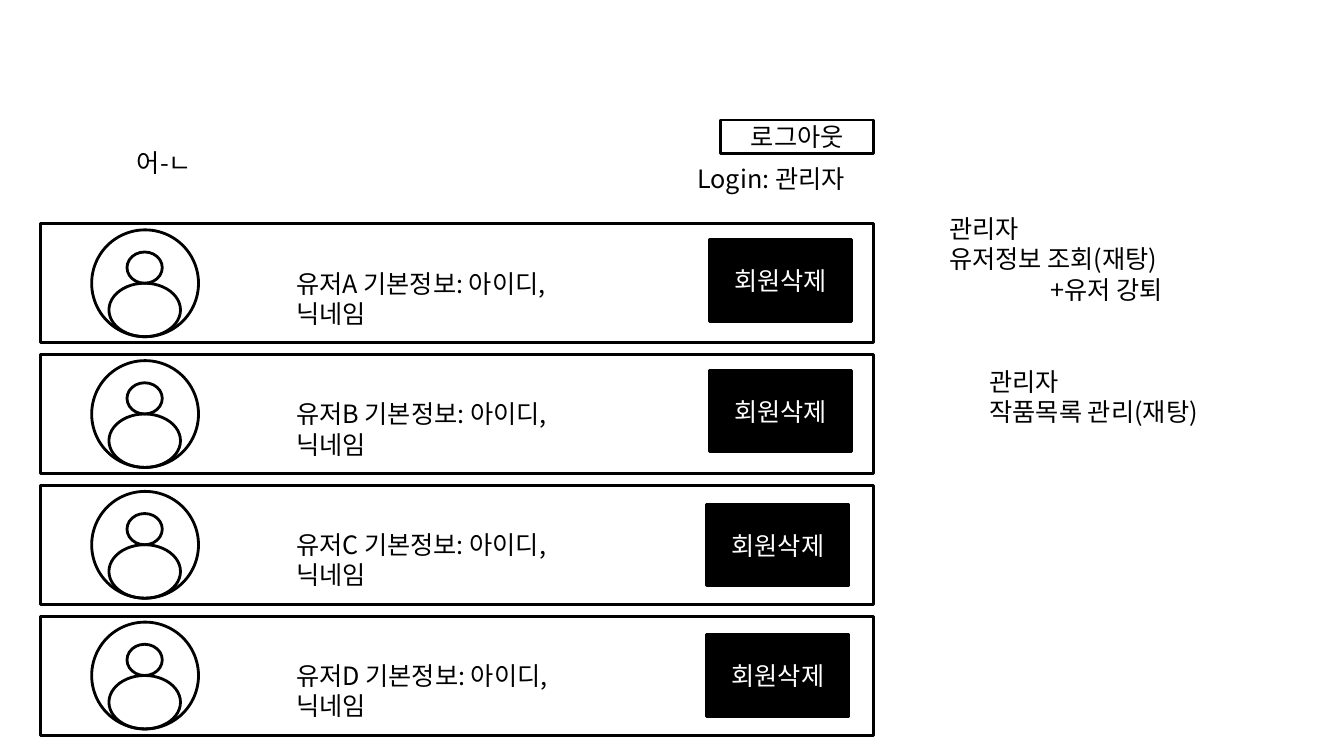
import pptx
import pptx.dml.color
import pptx.enum.shapes
import pptx.enum.text
import pptx.oxml.ns
import pptx.util
from dataclasses import dataclass

Pt = pptx.util.Pt
MSO_SHAPE = pptx.enum.shapes.MSO_SHAPE
ALIGN = pptx.enum.text.PP_ALIGN
qn = pptx.oxml.ns.qn


@dataclass(frozen=True)
class Theme:
    black: pptx.dml.color.RGBColor = pptx.dml.color.RGBColor(0, 0, 0)
    white: pptx.dml.color.RGBColor = pptx.dml.color.RGBColor(255, 255, 255)
    font: str = "Noto Sans CJK KR"
    size: int = 18
    line: int = 2


theme = Theme()


def write(frame, text, color=theme.black, align=ALIGN.LEFT):
    """Fill a text frame, setting the font for Latin and Korean letters alike."""
    frame.word_wrap = True
    frame.text = text
    for paragraph in frame.paragraphs:
        paragraph.alignment = align
        paragraph.font.size = Pt(theme.size)
        paragraph.font.name = theme.font
        paragraph.font.color.rgb = color
        defaults = paragraph._p.pPr.find(qn("a:defRPr"))
        korean = defaults.makeelement(qn("a:ea"), {"typeface": theme.font})
        defaults.find(qn("a:latin")).addnext(korean)


def add_outline(shapes, kind, left, top, width, height, fill=None):
    shape = shapes.add_shape(kind, Pt(left), Pt(top), Pt(width), Pt(height))
    shape.shadow.inherit = False
    if fill is None:
        shape.fill.background()
    else:
        shape.fill.solid()
        shape.fill.fore_color.rgb = fill
    shape.line.color.rgb = theme.black
    shape.line.width = Pt(theme.line)
    return shape


deck = pptx.Presentation()
deck.slide_width, deck.slide_height = Pt(960), Pt(540)
slide = deck.slides.add_slide(deck.slide_layouts[6])

# Header: site title, logout button, login state
header = slide.shapes.add_group_shape().shapes
site_title = header.add_textbox(Pt(90.7), Pt(101.5), Pt(65.5), Pt(28.8))
write(site_title.text_frame, "어-ㄴ")
logout = add_outline(header, MSO_SHAPE.RECTANGLE, 514.8, 85.7, 109.4, 23.8)
logout.text_frame.vertical_anchor = pptx.enum.text.MSO_ANCHOR.MIDDLE
write(logout.text_frame, "로그아웃", align=ALIGN.CENTER)
login_state = header.add_textbox(Pt(491), Pt(113), Pt(132.5), Pt(28.8))
write(login_state.text_frame, "Login: 관리자")

# User cards
CARD_LEFT, CARD_TOP, CARD_PITCH = 28.8, 159.9, 93.4
AVATAR_PARTS = [  # offset in the card, width, height
    (36.7, 4.3, 76.3, 76.3),
    (61.9, 20.1, 25.2, 22.3),
    (49, 42.4, 51.1, 38.2),
]
DELETE_BUTTONS = [(506.9, 171.2), (506.9, 264.5), (504.9, 360.2), (504.9, 453.5)]

for row, user in enumerate("ABCD"):
    top = CARD_TOP + row * CARD_PITCH
    card = slide.shapes.add_group_shape().shapes
    add_outline(card, MSO_SHAPE.RECTANGLE, CARD_LEFT, top, 595.4, 85)
    for dx, dy, width, height in AVATAR_PARTS:
        add_outline(card, MSO_SHAPE.OVAL, CARD_LEFT + dx, top + dy, width, height)
    user_info = card.add_textbox(Pt(204.5), Pt(top + 28), Pt(271), Pt(28.8))
    write(user_info.text_frame, f"유저{user} 기본정보: 아이디,\v닉네임")

for left, top in DELETE_BUTTONS:
    delete = add_outline(slide.shapes, MSO_SHAPE.RECTANGLE, left, top, 101.5, 58.3, theme.black)
    delete.text_frame.vertical_anchor = pptx.enum.text.MSO_ANCHOR.MIDDLE
    write(delete.text_frame, "회원삭제", theme.white, ALIGN.CENTER)

# Notes beside the screen
user_note = slide.shapes.add_textbox(Pt(671), Pt(149), Pt(206.6), Pt(72.7))
write(user_note.text_frame, "관리자\n유저정보 조회(재탕)\n+유저 강퇴")
user_note.text_frame.paragraphs[2]._p.pPr.set("marL", str(Pt(72)))
works_note = slide.shapes.add_textbox(Pt(699.8), Pt(257.8), Pt(201.6), Pt(51.1))
write(works_note.text_frame, "관리자\n작품목록 관리(재탕)")

deck.save("out.pptx")
